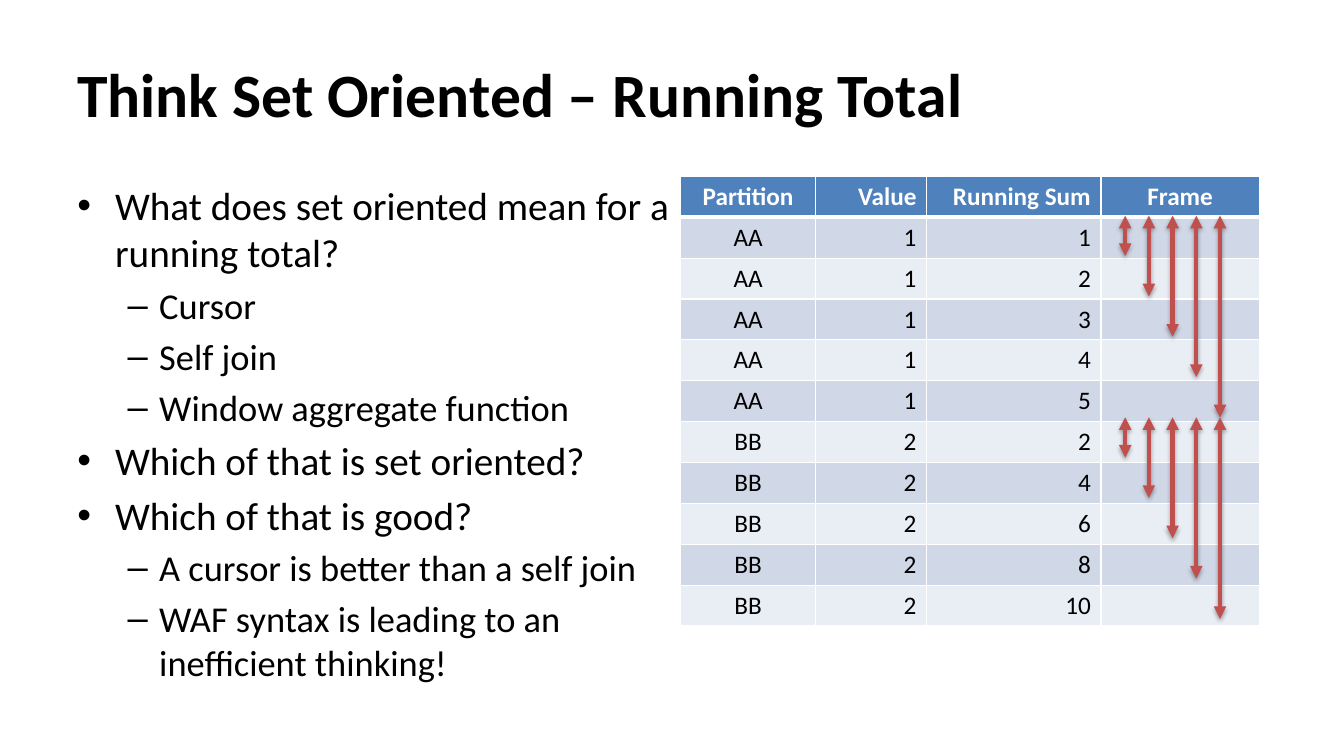
from lxml.etree import SubElement
from pptx import Presentation
from pptx.dml.color import RGBColor
from pptx.enum.shapes import MSO_CONNECTOR as Connector
from pptx.enum.text import MSO_ANCHOR as Anchor, MSO_AUTO_SIZE as AutoSize, PP_ALIGN as Align
from pptx.oxml.ns import qn
from pptx.util import Inches, Pt

SLIDE_WIDTH, SLIDE_HEIGHT = 13.33, 7.5
MARGIN = 0.05 * SLIDE_WIDTH
CONTENT_TOP = 1.75

BLACK, WHITE = "000000", "FFFFFF"
HEADER_BLUE, RED = "4F81BD", "C0504D"
BANDS = ["D0D8E8", "E9EDF4"]

TITLE = "Think Set Oriented – Running Total"
BULLETS = [
    (0, "What does set oriented mean for a running total?"),
    (1, "Cursor"),
    (1, "Self join"),
    (1, "Window aggregate function"),
    (0, "Which of that is set oriented?"),
    (0, "Which of that is good?"),
    (1, "A cursor is better than a self join"),
    (1, "WAF syntax is leading to an inefficient thinking!"),
]
LEVEL_SIZES = [28, 26]

HEADERS = ["Partition", "Value", "Running Sum", "Frame"]
ALIGNMENTS = [Align.CENTER, Align.RIGHT, Align.RIGHT, Align.CENTER]
COLUMN_WIDTHS = [1.34, 1.1, 1.73, 1.57]
PARTITIONS = {"AA": 1, "BB": 2}
PARTITION_ROWS = 5
TABLE_LEFT, ROW_HEIGHT = 6.75, 0.4

FRAME_LEFT, FRAME_TOP, FRAME_STEP = 11.16, 2.14, 0.235


def color(value):
    return RGBColor.from_string(value)


def set_format(target, values):
    for name, value in values.items():
        setattr(target, name, value)


def format_font(font, size, fill=BLACK, bold=False):
    set_format(font, {"name": "Calibri", "size": Pt(size), "bold": bold})
    font.color.rgb = color(fill)


def place(shape, left, top, width, height):
    set_format(shape, {"left": Inches(left), "top": Inches(top),
                       "width": Inches(width), "height": Inches(height)})


def add_title(slide):
    title = slide.shapes.title
    place(title, MARGIN, 0.04 * SLIDE_HEIGHT, 0.9 * SLIDE_WIDTH, SLIDE_HEIGHT / 6)
    set_format(title.text_frame, {"text": TITLE, "vertical_anchor": Anchor.MIDDLE})
    paragraph = title.text_frame.paragraphs[0]
    paragraph.alignment = Align.LEFT
    format_font(paragraph.runs[0].font, 44, bold=True)


def add_bullets(slide):
    body = slide.placeholders[1]
    place(body, MARGIN, CONTENT_TOP, 6.31, 0.66 * SLIDE_HEIGHT)
    frame = body.text_frame
    frame.text = "\n".join(text for _, text in BULLETS)
    frame.auto_size = AutoSize.NONE
    for paragraph, (level, _) in zip(frame.paragraphs, BULLETS):
        paragraph.level = level
        format_font(paragraph.runs[0].font, LEVEL_SIZES[level])


def add_border(cell, side, width):
    line = SubElement(cell._tc.get_or_add_tcPr(), qn(f"a:ln{side}"), w=str(Pt(width)))
    fill = SubElement(line, qn("a:solidFill"))
    SubElement(fill, qn("a:srgbClr"), val=WHITE)


def format_cell(cell, text, row, alignment):
    is_header = row == 0
    widths = {"L": 1, "R": 1, "T": 3 if row == 1 else 1, "B": 3 if is_header else 1}
    for side, width in widths.items():
        add_border(cell, side, width)
    cell.fill.solid()
    cell.fill.fore_color.rgb = color(HEADER_BLUE if is_header else BANDS[(row - 1) % 2])
    cell.text = text
    paragraph = cell.text_frame.paragraphs[0]
    paragraph.alignment = alignment
    format_font(paragraph.font, 18, WHITE if is_header else BLACK, is_header)


def add_running_total_table(slide):
    # Each sum grows by the partition's value from row to row
    rows = [HEADERS] + [
        [name, str(value), str(value * count), ""]
        for name, value in PARTITIONS.items()
        for count in range(1, PARTITION_ROWS + 1)
    ]
    table = slide.shapes.add_table(
        len(rows), len(HEADERS), Inches(TABLE_LEFT), Inches(CONTENT_TOP),
        Inches(sum(COLUMN_WIDTHS)), Inches(ROW_HEIGHT * len(rows))).table
    for column, width in zip(table.columns, COLUMN_WIDTHS):
        column.width = Inches(width)
    for row, texts in enumerate(rows):
        for column, text in enumerate(texts):
            format_cell(table.cell(row, column), text, row, ALIGNMENTS[column])


def add_shadow(connector):
    effects = SubElement(connector._element.spPr, qn("a:effectLst"))
    shadow = SubElement(effects, qn("a:outerShdw"), blurRad=str(Pt(3.1)),
                        dist=str(Pt(1.8)), dir="5400000", rotWithShape="0")
    black = SubElement(shadow, qn("a:srgbClr"), val=BLACK)
    SubElement(black, qn("a:alpha"), val="35000")


def add_frame_arrow(slide, x, top, bottom):
    connector = slide.shapes.add_connector(
        Connector.STRAIGHT, Inches(x), Inches(top), Inches(x), Inches(bottom))
    connector.line.width = Pt(3)
    connector.line.color.rgb = color(RED)
    for end in ("a:headEnd", "a:tailEnd"):
        SubElement(connector.line._ln, qn(end), type="triangle")
    add_shadow(connector)


def add_frames(slide):
    # One arrow per row, each a row longer than the one before
    for group in range(len(PARTITIONS)):
        top = FRAME_TOP + group * PARTITION_ROWS * ROW_HEIGHT
        for index in range(PARTITION_ROWS):
            add_frame_arrow(slide, FRAME_LEFT + index * FRAME_STEP,
                            top, top + (index + 1) * ROW_HEIGHT)


def main():
    presentation = Presentation()
    set_format(presentation, {"slide_width": Inches(SLIDE_WIDTH),
                              "slide_height": Inches(SLIDE_HEIGHT)})
    slide = presentation.slides.add_slide(presentation.slide_layouts[1])
    add_title(slide)
    add_bullets(slide)
    add_running_total_table(slide)
    add_frames(slide)
    presentation.save("out.pptx")


if __name__ == "__main__":
    main()
